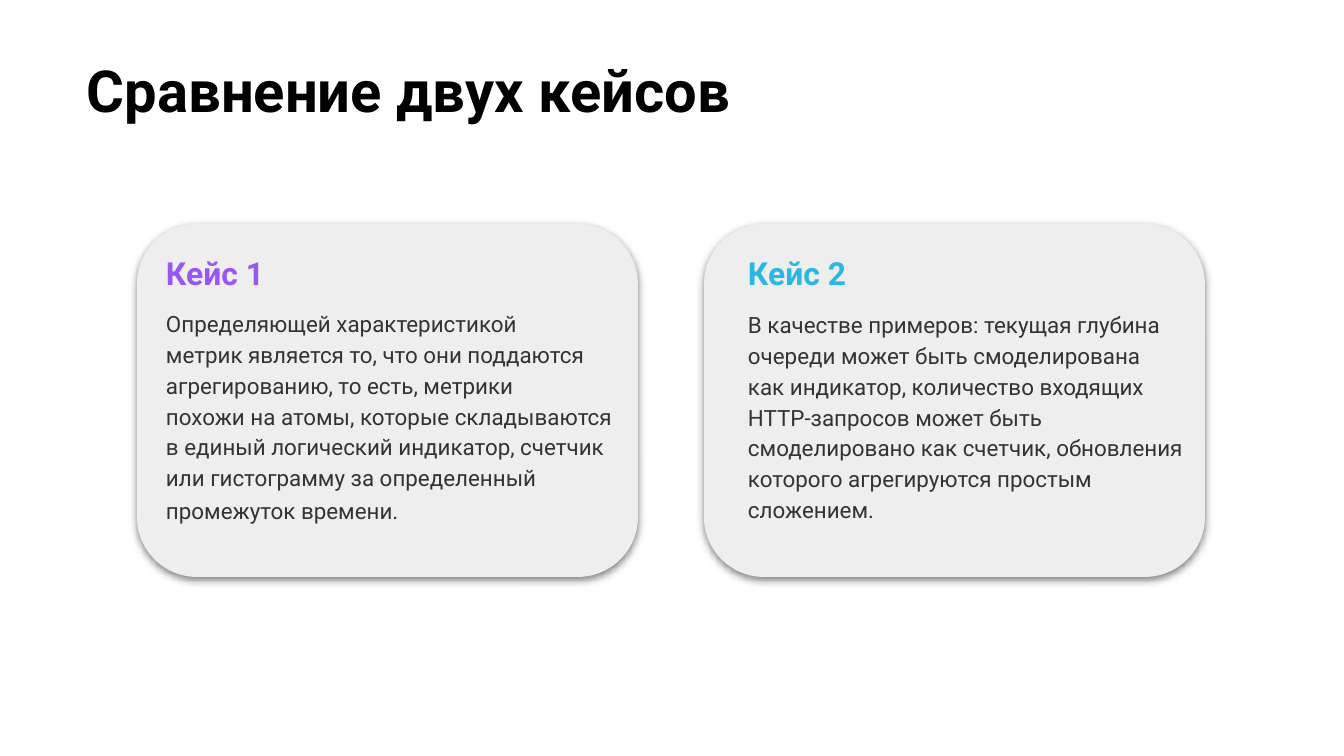
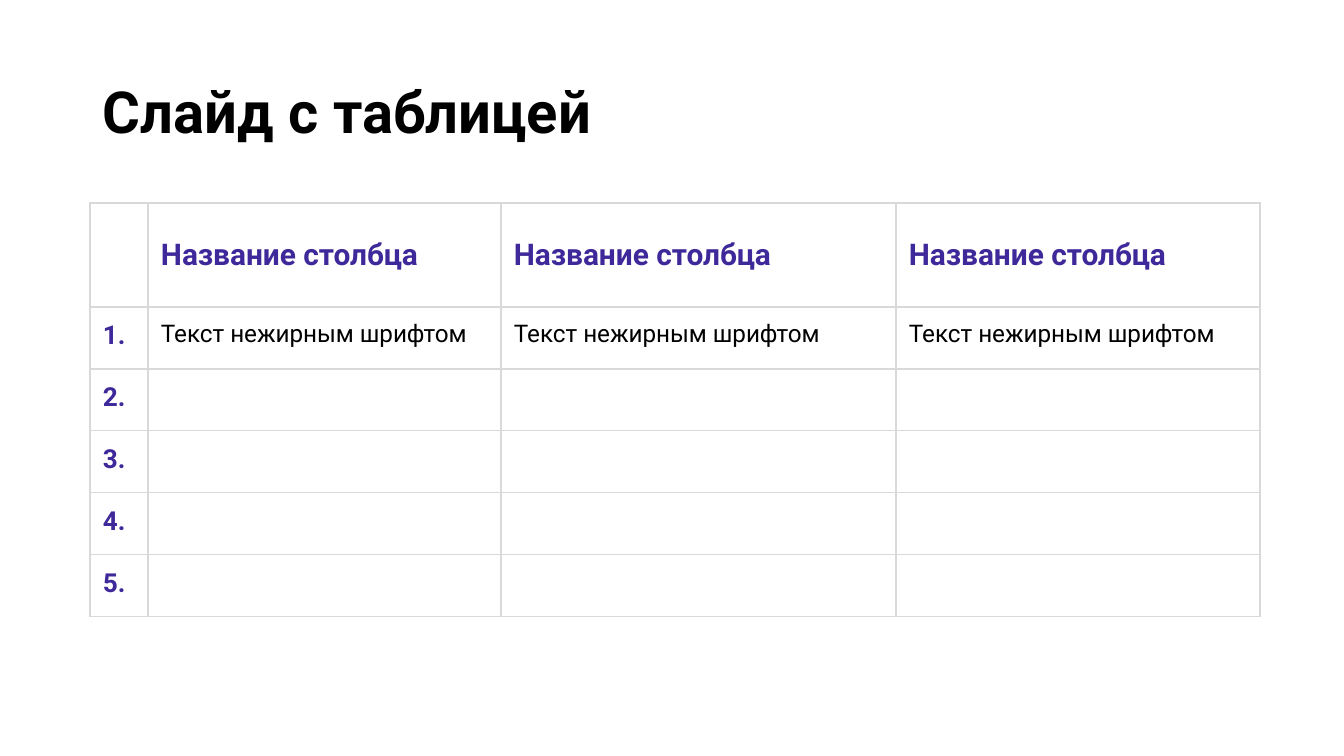
from lxml import etree
from pptx import Presentation
from pptx import util as u
from pptx.dml.color import RGBColor
from pptx.enum import shapes, text
from pptx.oxml import parse_xml
from pptx.oxml.ns import nsdecls, qn

PX = 914400 / 134.4
INSET = 13
FONT = "Roboto"

BLACK = RGBColor(0x00, 0x00, 0x00)
WHITE = RGBColor(0xFF, 0xFF, 0xFF)
BODY_GREY = RGBColor(0x33, 0x33, 0x33)
CARD_GREY = RGBColor(0xEE, 0xEE, 0xEE)
BORDER_GREY = RGBColor(0xD9, 0xD9, 0xD9)
VIOLET = RGBColor(0x98, 0x57, 0xF3)
CYAN = RGBColor(0x2A, 0xB7, 0xE4)
INDIGO = RGBColor(0x3F, 0x29, 0x9A)

CARD_TOP, CARD_WIDTH, CARD_HEIGHT = 224, 501, 353

CASE_1 = [
    "Определяющей характеристикой",
    "метрик является то, что они поддаются агрегированию, то есть, метрики",
    "похожи на атомы, которые складываются",
    "в единый логический индикатор, счетчик или гистограмму за определенный "
    "промежуток времени.",
]
CASE_2 = [
    "В качестве примеров: текущая глубина очереди может быть смоделирована",
    "как индикатор, количество входящих",
    "HTTP-запросов может быть смоделировано как счетчик, обновления которого "
    "агрегируются простым сложением.",
]


def px(length):
    return u.Emu(round(length * PX))


def box(*lengths):
    return [px(length) for length in lengths]


def style_run(run, size, color, bold):
    run.font.name = FONT
    run.font.size = u.Pt(size)
    run.font.bold = bold
    run.font.color.rgb = color


def write(frame, lines, size=12, color=BLACK, bold=False, spacing=None):
    """Fill a text frame with one paragraph per line."""
    frame.word_wrap = True
    for index, line in enumerate(lines):
        paragraph = frame.paragraphs[0] if index == 0 else frame.add_paragraph()
        if spacing:
            paragraph.line_spacing = spacing
        run = paragraph.add_run()
        run.text = line
        style_run(run, size, color, bold)


def set_insets(target):
    target.margin_left = target.margin_right = px(INSET)
    target.margin_top = target.margin_bottom = px(INSET)


def add_text(slide, bounds, lines, grow=True, **style):
    frame = slide.shapes.add_textbox(*box(*bounds)).text_frame
    set_insets(frame)
    write(frame, lines, **style)
    frame.auto_size = (text.MSO_AUTO_SIZE.SHAPE_TO_FIT_TEXT if grow
                       else text.MSO_AUTO_SIZE.NONE)
    return frame


def add_title(slide, left, top, title):
    add_text(slide, (left, top, 1253, 161), [title], grow=False, size=31, bold=True)


def add_card(slide, left):
    """Rounded grey panel with a soft shadow below it."""
    card = slide.shapes.add_shape(
        shapes.MSO_SHAPE.ROUNDED_RECTANGLE,
        *box(left, CARD_TOP, CARD_WIDTH, CARD_HEIGHT))
    card.adjustments[0] = 0.17
    card.fill.solid()
    card.fill.fore_color.rgb = CARD_GREY
    card.line.fill.background()
    card.shadow.inherit = False
    effects = card.element.spPr.find(qn("a:effectLst"))
    effects.append(parse_xml(
        f'<a:outerShdw {nsdecls("a")} blurRad="{u.Pt(4.5)}" dist="{u.Pt(1.5)}" '
        'dir="5400000" algn="bl" rotWithShape="0">'
        '<a:srgbClr val="000000"><a:alpha val="50000"/></a:srgbClr></a:outerShdw>'))


def add_case(slide, left, top, width, heading, color, lines):
    add_text(slide, (left, 241, 218, 66), [heading], size=17, color=color, bold=True)
    return add_text(slide, (left, top, width, 242), lines,
                    color=BODY_GREY, spacing=1.15)


def set_borders(cell):
    properties = cell._tc.get_or_add_tcPr()
    for index, side in enumerate(("lnL", "lnR", "lnT", "lnB")):
        properties.insert(index, parse_xml(
            f'<a:{side} {nsdecls("a")} w="{u.Pt(0.75)}"><a:solidFill>'
            f'<a:srgbClr val="{BORDER_GREY}"/></a:solidFill></a:{side}>'))


def fill_cell(cell, content, header=False, **style):
    set_insets(cell)
    if header:
        cell.vertical_anchor = text.MSO_ANCHOR.MIDDLE
        cell.fill.solid()
        cell.fill.fore_color.rgb = WHITE
    else:
        cell.fill.background()
    set_borders(cell)
    if content:
        write(cell.text_frame, [content], **style)
    else:
        # An empty cell takes its line height from the end mark.
        end = etree.SubElement(cell.text_frame.paragraphs[0]._p, qn("a:endParaRPr"))
        end.set("sz", "1300")


def add_table(slide, left, top, columns, heights, rows):
    frame = slide.shapes.add_table(
        len(heights), len(columns), *box(left, top, sum(columns), sum(heights)))
    table = frame.table
    table.first_row = table.horz_banding = False
    for column, width in zip(table.columns, columns):
        column.width = px(width)
    for row, height in zip(table.rows, heights):
        row.height = px(height)
    for r, row in enumerate(rows):
        for c, content in enumerate(row):
            if r == 0:
                style = dict(size=16, color=INDIGO, bold=True)
            elif c == 0:
                style = dict(size=14, color=INDIGO, bold=True)
            else:
                style = dict(size=13)
            fill_cell(table.cell(r, c), content, header=r == 0, **style)


def build_cases(slide):
    add_title(slide, 74, 42, "Сравнение двух кейсов")
    for left in (704, 137):
        add_card(slide, left)
    first = add_case(slide, 153, 293, 501, "Кейс 1", VIOLET, CASE_1)
    style_run_end = first.paragraphs[-1].add_run()
    style_run_end.text = " "
    style_run(style_run_end, 13, BODY_GREY, False)
    add_case(slide, 735, 294, 470, "Кейс 2", CYAN, CASE_2)


def build_table(slide):
    add_title(slide, 90, 63, "Слайд с таблицей")
    rows = [[""] + ["Название столбца"] * 3]
    for number in range(1, 6):
        content = "Текст нежирным шрифтом" if number == 1 else ""
        rows.append([f"{number}."] + [content] * 3)
    add_table(slide, 90, 203, [58, 353, 395, 364], [104] + [62] * 5, rows)


def main():
    presentation = Presentation()
    presentation.slide_width, presentation.slide_height = box(1344, 756)
    blank = presentation.slide_layouts[6]
    for build in (build_cases, build_table):
        build(presentation.slides.add_slide(blank))
    presentation.save("out.pptx")


if __name__ == "__main__":
    main()
